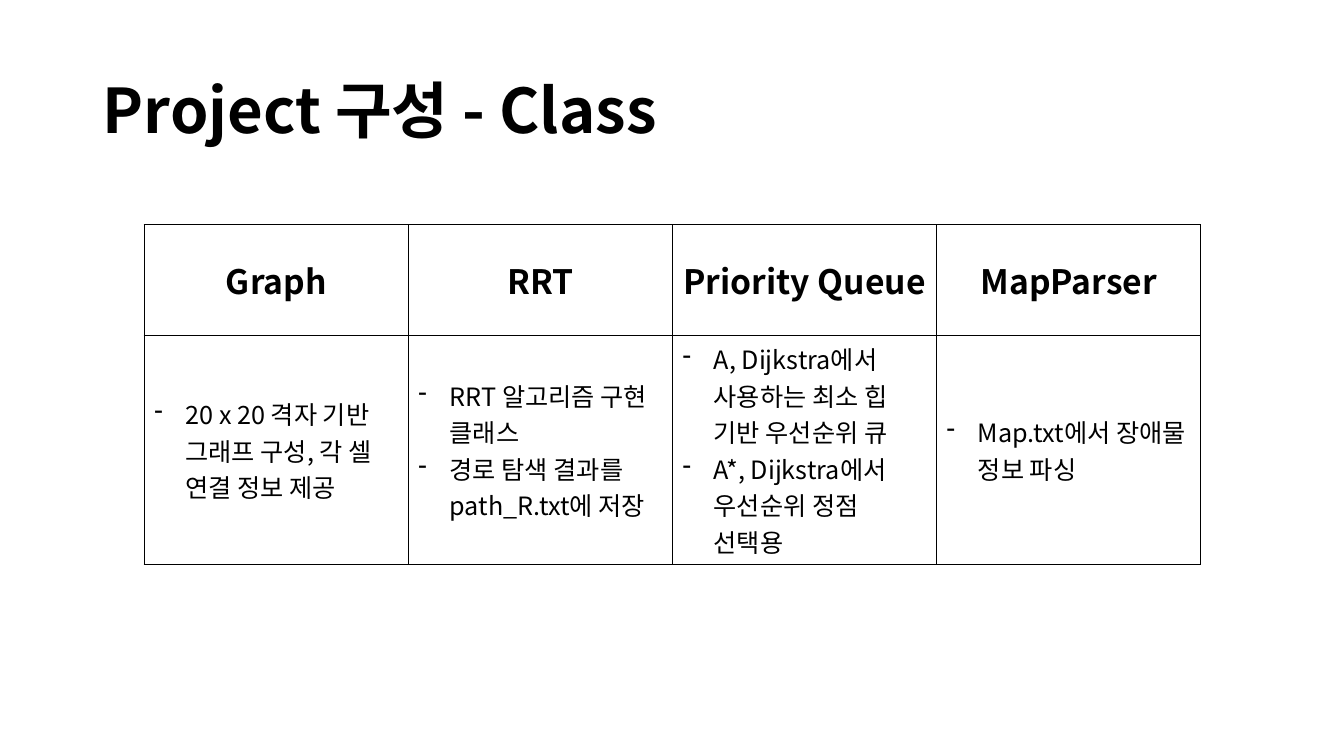
from dataclasses import dataclass

from lxml import etree
from pptx import Presentation
from pptx.dml.color import RGBColor
from pptx.enum import text
from pptx.oxml import ns
from pptx.util import Inches, Pt


@dataclass(frozen=True)
class Theme:
    font: str = "Noto Sans CJK KR"
    ink: str = "000000"
    paper: str = "FFFFFF"
    title: int = 44
    heading: int = 24
    body: int = 18


THEME = Theme()
CLASSES = {
    "Graph": ["20 x 20 격자 기반 그래프 구성, 각 셀 연결 정보 제공"],
    "RRT": ["RRT 알고리즘 구현 클래스", "경로 탐색 결과를 path_R.txt에 저장"],
    "Priority Queue": [
        "A, Dijkstra에서 사용하는 최소 힙 기반 우선순위 큐",
        "A*, Dijkstra에서 우선순위 정점 선택용",
    ],
    "MapParser": ["Map.txt에서 장애물 정보 파싱"],
}


def write(para, words, size, bold=False, align=text.PP_ALIGN.LEFT, bullet=None):
    para.alignment = align
    if bullet:
        props = para._p.get_or_add_pPr()
        props.set("marL", str(Inches(0.31)))
        props.set("indent", str(-Inches(0.31)))
        etree.SubElement(props, ns.qn("a:buFontTx"))
        etree.SubElement(props, ns.qn("a:buChar"), char=bullet)
    span = para.add_run()
    span.text = words
    span.font.size = Pt(size)
    span.font.bold = bold
    span.font.color.rgb = RGBColor.from_string(THEME.ink)
    span.font.name = THEME.font
    etree.SubElement(span._r.get_or_add_rPr(), ns.qn("a:ea"), typeface=THEME.font)


def style_cell(cell):
    """Centre the cell vertically, outline it and fill it."""
    cell.vertical_anchor = text.MSO_ANCHOR.MIDDLE
    props = cell._tc.get_or_add_tcPr()
    for side in ("lnL", "lnR", "lnT", "lnB"):
        line = etree.SubElement(props, ns.qn(f"a:{side}"), w=str(Pt(1)))
        fill = etree.SubElement(line, ns.qn("a:solidFill"))
        etree.SubElement(fill, ns.qn("a:srgbClr"), val=THEME.ink)
    cell.fill.solid()
    cell.fill.fore_color.rgb = RGBColor.from_string(THEME.paper)


deck = Presentation()
deck.slide_width, deck.slide_height = Inches(13.33), Inches(7.5)
page = deck.slides.add_slide(deck.slide_layouts[5])

title = page.shapes.title
title.left, title.top = Inches(0.92), Inches(0.4)
title.width, title.height = Inches(11.5), Inches(1.45)
title.text_frame.word_wrap = True
title.text_frame.auto_size = text.MSO_AUTO_SIZE.NONE
title.text_frame.vertical_anchor = text.MSO_ANCHOR.MIDDLE
title_para = title.text_frame.paragraphs[0]
title_para.line_spacing = 0.9
write(title_para, "Project 구성 - Class", THEME.title, bold=True)

table = page.shapes.add_table(
    2, len(CLASSES), Inches(1.43), Inches(2.23), Inches(10.48), Inches(3.19)
).table
table.rows[0].height, table.rows[1].height = Inches(1.1), Inches(2.09)

for index, (name, notes) in enumerate(CLASSES.items()):
    table.columns[index].width = Inches(2.62)
    heading, body = table.cell(0, index), table.cell(1, index)
    style_cell(heading)
    style_cell(body)
    write(heading.text_frame.paragraphs[0], name, THEME.heading,
          bold=True, align=text.PP_ALIGN.CENTER)
    for number, note in enumerate(notes):
        frame = body.text_frame
        para = frame.add_paragraph() if number else frame.paragraphs[0]
        write(para, note, THEME.body, bullet="-")

deck.save("out.pptx")
